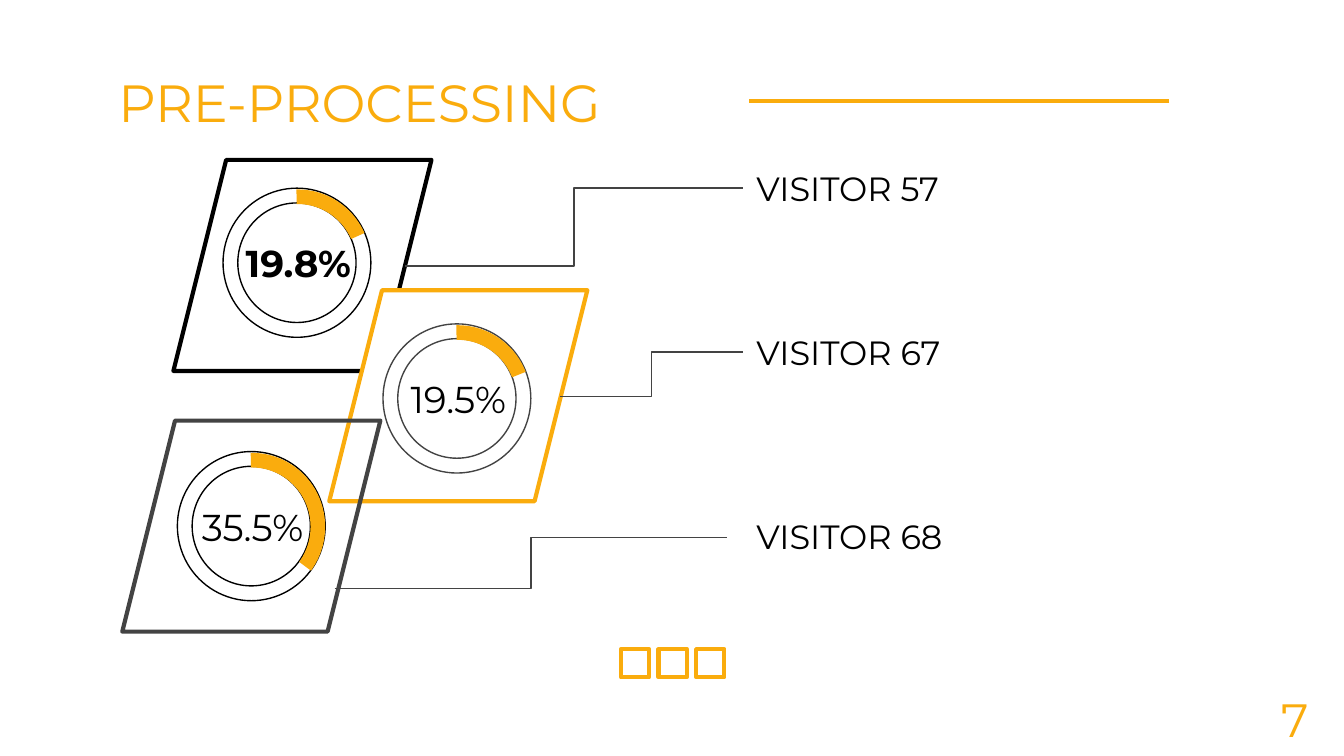
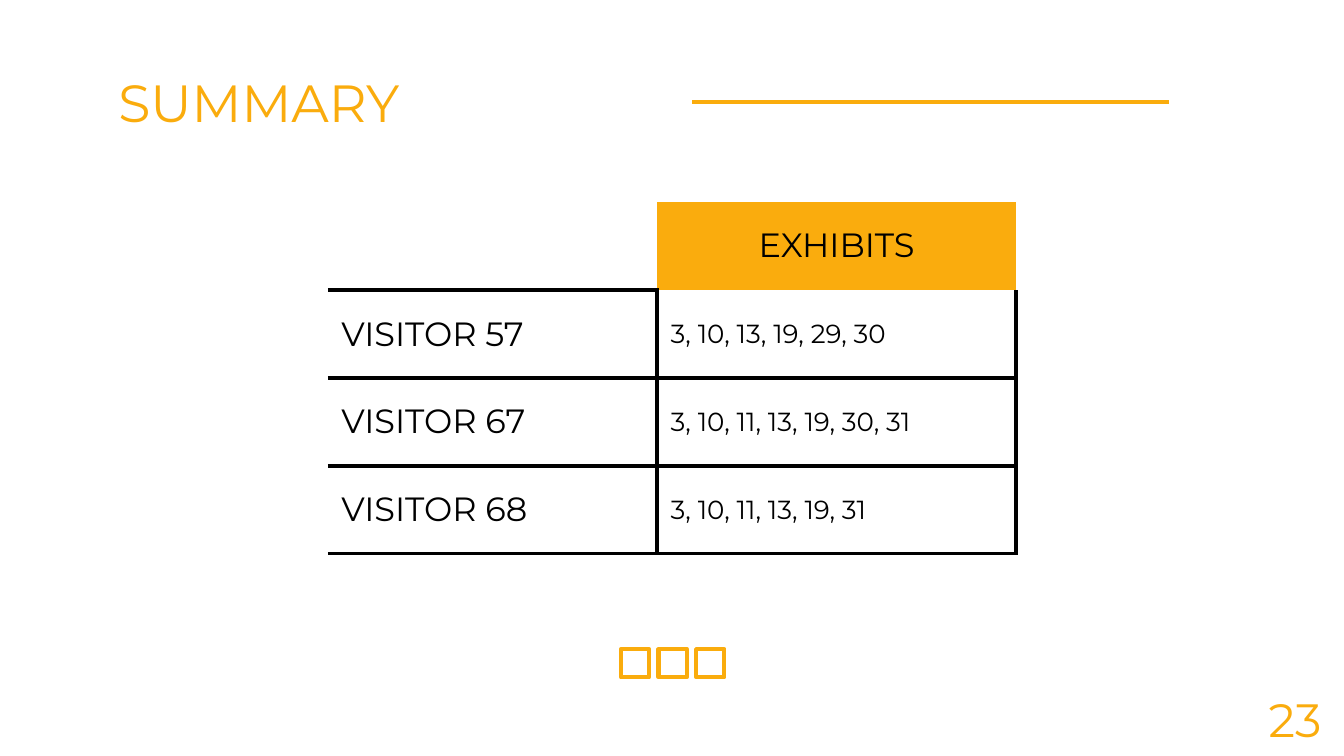
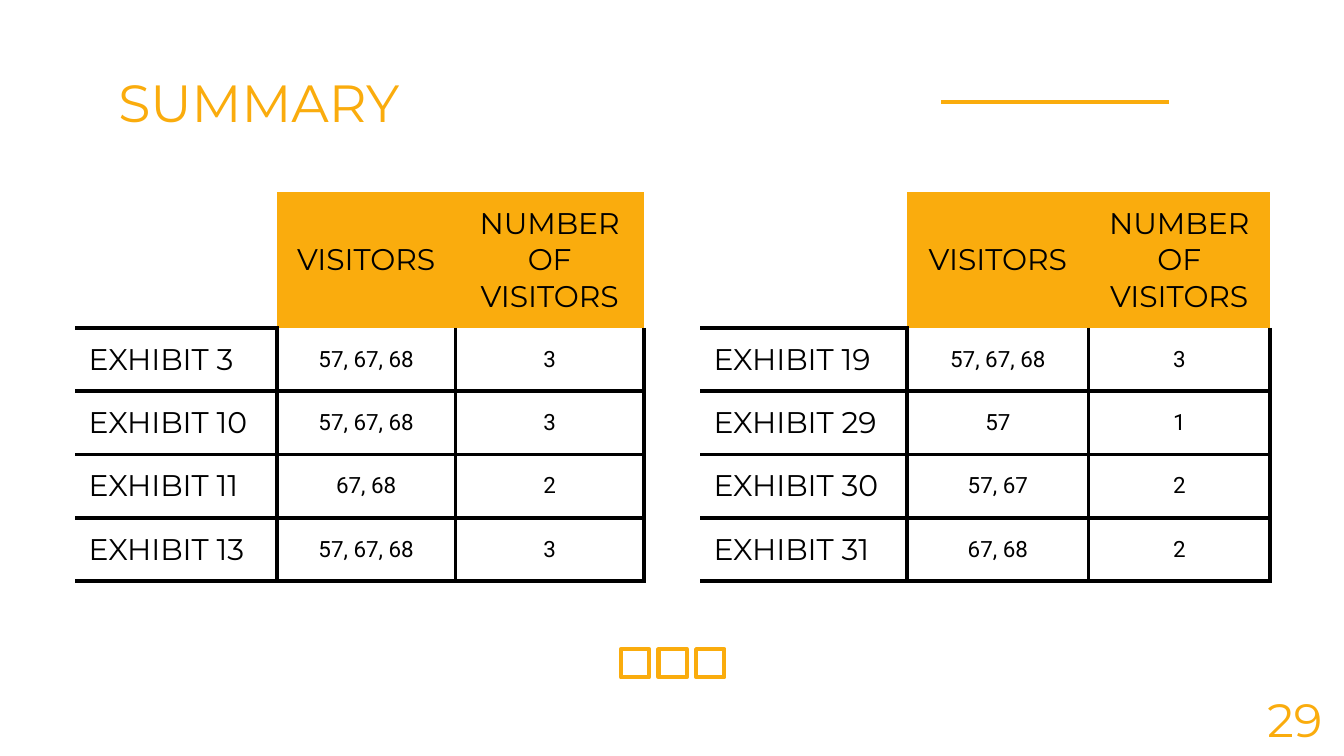
from lxml.etree import SubElement
from pptx import Presentation
from pptx.dml.color import RGBColor
from pptx.enum.shapes import MSO_CONNECTOR, MSO_SHAPE
from pptx.enum.text import MSO_ANCHOR, MSO_AUTO_SIZE, PP_ALIGN
from pptx.oxml.ns import qn
from pptx.util import Inches, Pt

COLORS = {"accent": "FAAC0D", "ink": "000000", "gray": "434343", "paper": "FFFFFF"}
HEAD_FONT, VALUE_FONT = "Montserrat", "Roboto"
SLIDE_WIDTH = 10
RULE_RIGHT = 8.7
ARC_START = 161.41

# Content: title, page number, left end and height of the title rule
PRE_PROCESSING = ("PRE-PROCESSING", "7", 5.57, 0.75)
SUMMARY_VISITORS = ("SUMMARY", "23", 5.15, 0.76)
SUMMARY_EXHIBITS = ("SUMMARY", "29", 7, 0.76)

# Positions are (left, top); links run from the frame to the label
GAUGES = [
    {"label": "VISITOR 57", "share": "19.8%", "bold": True, "label_top": 1.23,
     "frame": (1.29, 1.19), "frame_color": "ink", "frame_fill": None,
     "ring": (1.66, 1.4), "ring_color": "ink", "arc_end": 201.33,
     "link": (3.01, 1.98, 5.53, 1.4), "joined": True},
    {"label": "VISITOR 67", "share": "19.5%", "bold": False, "label_top": 2.45,
     "frame": (2.45, 2.16), "frame_color": "accent", "frame_fill": "paper",
     "ring": (2.85, 2.41), "ring_color": "gray", "arc_end": 202.93,
     "link": (4.17, 2.95, 5.53, 2.62), "joined": True},
    {"label": "VISITOR 68", "share": "35.5%", "bold": False, "label_top": 3.82,
     "frame": (0.91, 3.13), "frame_color": "gray", "frame_fill": None,
     "ring": (1.32, 3.36), "ring_color": "ink", "arc_end": 21.98,
     "link": (2.49, 4.38, 5.41, 4), "joined": False},
]

VISITOR_TABLE = {
    "at": (2.44, 1.5), "height": 2.62, "header_height": 0.66, "columns": (2.45, 2.67),
    "label_size": 18, "value_size": 14, "value_font": HEAD_FONT, "value_align": PP_ALIGN.LEFT,
    "rows": [
        ("", "EXHIBITS"),
        ("VISITOR 57", "3, 10, 13, 19, 29, 30"),
        ("VISITOR 67", "3, 10, 11, 13, 19, 30, 31"),
        ("VISITOR 68", "3, 10, 11, 13, 19, 31"),
    ],
}
EXHIBIT_STYLE = {
    "height": 2.87, "header_height": 1, "label_size": 16, "value_size": 12,
    "value_font": VALUE_FONT, "value_align": PP_ALIGN.CENTER,
}
EXHIBIT_TABLES = [
    {**EXHIBIT_STYLE, "at": (0.56, 1.43), "columns": (1.5, 1.33, 1.4), "rows": [
        ("", "VISITORS", "NUMBER OF\nVISITORS"),
        ("EXHIBIT 3", "57, 67, 68", "3"),
        ("EXHIBIT 10", "57, 67, 68", "3"),
        ("EXHIBIT 11", "67, 68", "2"),
        ("EXHIBIT 13", "57, 67, 68", "3"),
    ]},
    {**EXHIBIT_STYLE, "at": (5.21, 1.43), "columns": (1.54, 1.35, 1.35), "rows": [
        ("", "VISITORS", "NUMBER\nOF\nVISITORS"),
        ("EXHIBIT 19", "57, 67, 68", "3"),
        ("EXHIBIT 29", "57", "1"),
        ("EXHIBIT 30", "57, 67", "2"),
        ("EXHIBIT 31", "67, 68", "2"),
    ]},
]


def color(name):
    return RGBColor.from_string(COLORS[name])


def write(text_frame, text, size, ink="ink", font=HEAD_FONT, align=PP_ALIGN.LEFT, bold=False):
    for index, line in enumerate(text.split("\n")):
        paragraph = text_frame.add_paragraph() if index else text_frame.paragraphs[0]
        paragraph.alignment = align
        run = paragraph.add_run()
        run.text = line
        run.font.name, run.font.size, run.font.bold = font, Pt(size), bold
        run.font.color.rgb = color(ink)


def set_frame(text_frame, anchor, margins):
    text_frame.word_wrap = True
    text_frame.auto_size = MSO_AUTO_SIZE.NONE
    text_frame.vertical_anchor = anchor
    (text_frame.margin_left, text_frame.margin_top,
     text_frame.margin_right, text_frame.margin_bottom) = map(Inches, margins)


def add_text(slide, box, text, size, margins, **style):
    shape = slide.shapes.add_textbox(*map(Inches, box))
    set_frame(shape.text_frame, MSO_ANCHOR.MIDDLE, margins)
    write(shape.text_frame, text, size, **style)
    return shape


def add_outline(slide, kind, box, line=None, width=2.25, fill=None, adjustments=()):
    shape = slide.shapes.add_shape(kind, *map(Inches, box))
    shape.shadow.inherit = False
    for index, value in enumerate(adjustments):
        shape.adjustments[index] = value
    if fill:
        shape.fill.solid()
        shape.fill.fore_color.rgb = color(fill)
    else:
        shape.fill.background()
    if line:
        shape.line.color.rgb = color(line)
        shape.line.width = Pt(width)
    else:
        shape.line.fill.background()


def add_line(slide, kind, points, line, width):
    connector = slide.shapes.add_connector(kind, *map(Inches, points))
    connector.line.color.rgb = color(line)
    connector.line.width = Pt(width)
    SubElement(connector.element.spPr, qn("a:effectLst"))
    return connector


def add_base_slide(presentation, title, number, rule_left, rule_top):
    slide = presentation.slides.add_slide(presentation.slide_layouts[5])
    # Footer squares
    for index in range(3):
        add_outline(slide, MSO_SHAPE.RECTANGLE, (4.62 + index * 0.28, 4.83, 0.21, 0.21), "accent")
    # Title, rule and page number
    heading = slide.shapes.title
    heading.left, heading.top, heading.width, heading.height = map(Inches, (0.78, 0.52, 8.45, 0.62))
    set_frame(heading.text_frame, MSO_ANCHOR.TOP, (0.1, 0, 0.1, 0.1))
    write(heading.text_frame, title, 28, "accent")
    add_line(slide, MSO_CONNECTOR.STRAIGHT, (RULE_RIGHT, rule_top, rule_left, rule_top), "accent", 2.25)
    add_text(slide, (9.27, 5.04, 0.73, 0.62), number, 25, (0.1,) * 4,
             ink="accent", align=PP_ALIGN.CENTER)
    return slide


def add_gauges(slide):
    # Slanted frames
    for gauge in GAUGES:
        add_outline(slide, MSO_SHAPE.PARALLELOGRAM, (*gauge["frame"], 1.92, 1.57),
                    gauge["frame_color"], fill=gauge["frame_fill"], adjustments=(0.25,))
    for gauge in GAUGES:
        # Label and its link
        label = add_text(slide, (5.53, gauge["label_top"], 2.89, 0.34), gauge["label"], 18, (0.1, 0, 0, 0))
        link = add_line(slide, MSO_CONNECTOR.ELBOW, gauge["link"], "gray", 0.75)
        if gauge["joined"]:
            link.end_connect(label, 1)
        # Ring, filled share and percentage
        left, top = gauge["ring"]
        add_outline(slide, MSO_SHAPE.DONUT, (left, top, 1.1, 1.11), gauge["ring_color"], 0.75,
                    adjustments=(0.1,))
        add_outline(slide, MSO_SHAPE.BLOCK_ARC, (left + 0.01, top + 0.01, 1.09, 1.1), fill="accent",
                    adjustments=(ARC_START, gauge["arc_end"], 0.1))
        add_text(slide, (left + 0.07, top + 0.34, 0.98, 0.43), gauge["share"], 20, (0,) * 4,
                 align=PP_ALIGN.CENTER, bold=gauge["bold"])


def cell_sides(row, column):
    if row == 0:
        return "" if column else "B"
    if column == 0:
        return "TRB"
    return "LRB" if row == 1 else "LTRB"


def set_borders(cell, sides):
    properties = cell._tc.get_or_add_tcPr()
    for index, side in enumerate("LRTB"):
        line = SubElement(properties, qn("a:ln" + side), w=str(Pt(2.25)))
        if side in sides:
            fill = SubElement(line, qn("a:solidFill"))
            SubElement(fill, qn("a:srgbClr"), val=COLORS["ink"])
        else:
            SubElement(line, qn("a:noFill"))
        properties.insert(index, line)


def add_grid(slide, grid):
    rows, columns = grid["rows"], grid["columns"]
    box = (*grid["at"], sum(columns), grid["height"])
    table = slide.shapes.add_table(len(rows), len(columns), *map(Inches, box)).table
    table.first_row = table.horz_banding = False
    for column, width in enumerate(columns):
        table.columns[column].width = Inches(width)
    body_height = (grid["height"] - grid["header_height"]) / (len(rows) - 1)
    for row, texts in enumerate(rows):
        table.rows[row].height = Inches(body_height if row else grid["header_height"])
        for column, text in enumerate(texts):
            cell = table.cell(row, column)
            cell.vertical_anchor = MSO_ANCHOR.MIDDLE
            cell.margin_left = cell.margin_right = cell.margin_top = cell.margin_bottom = Inches(0.1)
            if row == 0 and column:
                cell.fill.solid()
                cell.fill.fore_color.rgb = color("accent")
            else:
                cell.fill.background()
            set_borders(cell, cell_sides(row, column))
            if not text:
                continue
            if row and column:
                write(cell.text_frame, text, grid["value_size"], font=grid["value_font"],
                      align=grid["value_align"])
            else:
                write(cell.text_frame, text, grid["label_size"],
                      align=PP_ALIGN.LEFT if row else PP_ALIGN.CENTER)


def main():
    presentation = Presentation()
    presentation.slide_width = Inches(SLIDE_WIDTH)
    presentation.slide_height = Inches(SLIDE_WIDTH * 9 / 16)
    add_gauges(add_base_slide(presentation, *PRE_PROCESSING))
    add_grid(add_base_slide(presentation, *SUMMARY_VISITORS), VISITOR_TABLE)
    exhibits = add_base_slide(presentation, *SUMMARY_EXHIBITS)
    for grid in EXHIBIT_TABLES:
        add_grid(exhibits, grid)
    presentation.save("out.pptx")


if __name__ == "__main__":
    main()
